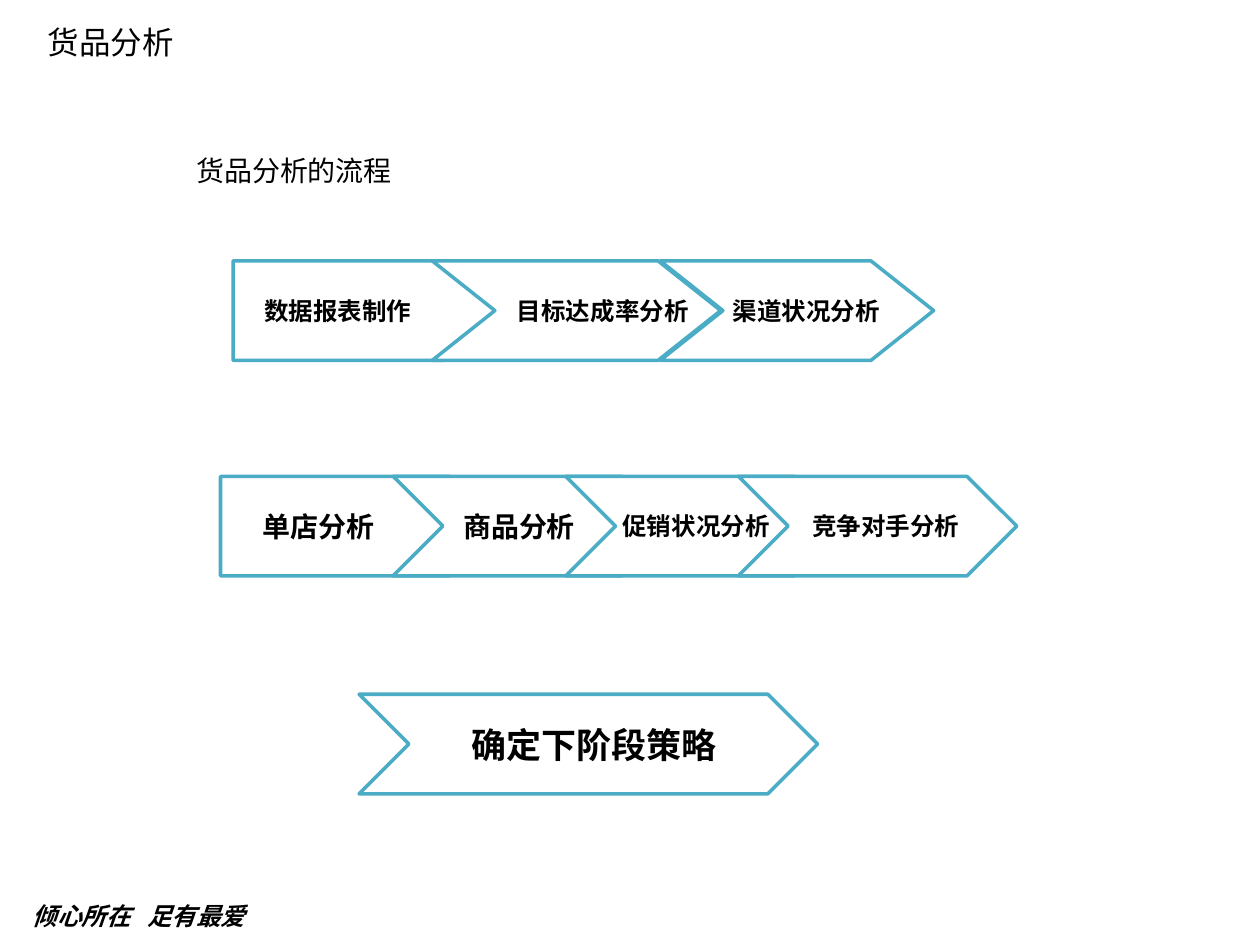
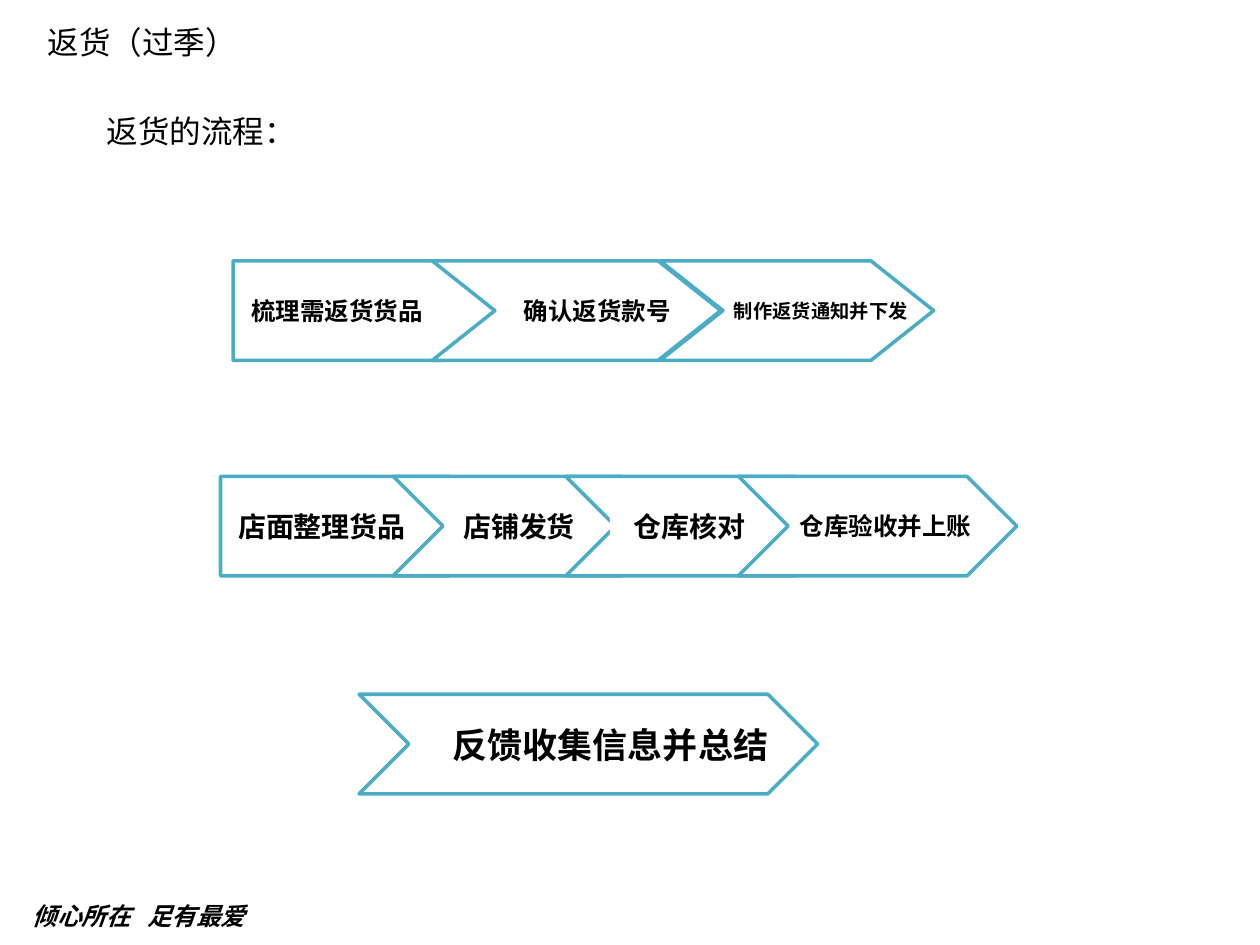
from dataclasses import dataclass

from pptx import Presentation
from pptx.dml.color import RGBColor
from pptx.enum.shapes import MSO_SHAPE
from pptx.enum.text import MSO_ANCHOR, MSO_AUTO_SIZE, PP_ALIGN
from pptx.oxml.xmlchemy import OxmlElement
from pptx.slide import Slide
from pptx.text.text import TextFrame
from pptx.util import Emu, Inches, Pt

PLATE, CHEVRON = MSO_SHAPE.PENTAGON, MSO_SHAPE.CHEVRON
TOP, MIDDLE = MSO_ANCHOR.TOP, MSO_ANCHOR.MIDDLE
LEFT, CENTER = PP_ALIGN.LEFT, PP_ALIGN.CENTER
NO_FIT = MSO_AUTO_SIZE.NONE

BLACK = RGBColor(0x00, 0x00, 0x00)
WHITE = RGBColor(0xFF, 0xFF, 0xFF)
TEAL = RGBColor(0x4B, 0xAC, 0xC6)
FONT = "Noto Sans CJK SC"

SLIDE_W, SLIDE_H = Inches(10), Inches(7.5)
COLUMNS, ROWS = 100, 75
ARROW_H = 7.9
TEXT_H = 4
LINE_PER_PT = 0.17  # label rows taken by each point of text size
TITLE_SIZE = 18
FOOTER_TEXT = "倾心所在\t足有最爱"
FOOTER_TAB = 9.1


@dataclass(frozen=True)
class Arrow:
    left: float
    width: float
    kind: MSO_SHAPE = CHEVRON


@dataclass(frozen=True)
class Band:
    """A row of arrows that share their top edge and point depth."""
    top: float
    point: float
    arrows: tuple[Arrow, ...]


@dataclass(frozen=True)
class Label:
    text: str
    left: float
    width: float
    size: int = 14


@dataclass(frozen=True)
class Heading:
    text: str
    left: float
    top: float
    width: float
    size: int


@dataclass(frozen=True)
class FlowSlide:
    title: str
    title_width: float
    heading: Heading
    labels: tuple[tuple[Label, ...], ...]


BANDS = (
    Band(20.7, 0.63, (Arrow(18.5, 21.7, PLATE), Arrow(34.3, 22.9), Arrow(52.4, 21.7))),
    Band(37.8, 0.5, tuple(Arrow(17.5 + 13.7 * i, 22.1, CHEVRON if i else PLATE)
                          for i in range(4))),
    Band(55.1, 0.5, (Arrow(28.5, 36.4),)),
)

SLIDES = (
    FlowSlide(
        "货品分析", 13.4, Heading("货品分析的流程", 14.6, 11.7, 22.8, 16),
        ((Label("数据报表制作", 20.9, 11.8), Label("目标达成率分析", 41, 13.7),
          Label("渠道状况分析", 58.1, 11.8)),
         (Label("单店分析", 19.6, 11.4, 16), Label("商品分析", 35.5, 11.4, 16),
          Label("促销状况分析", 49.2, 12.1), Label("竞争对手分析", 62.8, 15)),
         (Label("确定下阶段策略", 35.9, 22.5, 20),)),
    ),
    FlowSlide(
        "返货（过季）", 18.2, Heading("返货的流程：", 7.5, 8.4, 18.5, 18),
        ((Label("梳理需返货货品", 19.9, 13.7), Label("确认返货款号", 41.5, 11.8),
          Label("制作返货通知并下发", 58.2, 13.9, 11)),
         (Label("店面整理货品", 18.5, 14.1, 16), Label("店铺发货", 35.5, 11.4, 16),
          Label("仓库核对", 48.4, 12.6, 16), Label("仓库验收并上账", 62.8, 15)),
         (Label("反馈收集信息并总结", 35.9, 25.1, 20),)),
    ),
)


def col(n: float) -> Emu:
    return Emu(round(SLIDE_W * n / COLUMNS))


def row(n: float) -> Emu:
    return Emu(round(SLIDE_H * n / ROWS))


def box(left: float, top: float, width: float, height: float) -> tuple[Emu, Emu, Emu, Emu]:
    return col(left), row(top), col(width), row(height)


def write(tf: TextFrame, text: str, size: int, bold: bool = False, italic: bool = False,
          align: PP_ALIGN = LEFT, anchor: MSO_ANCHOR = TOP) -> None:
    """Fill a frame with one paragraph in the deck's font."""
    tf.text = text
    tf.auto_size = NO_FIT
    tf.vertical_anchor = anchor
    p = tf.paragraphs[0]
    p.alignment = align
    for r in p.runs:
        r.font.size, r.font.bold, r.font.italic = Pt(size), bold, italic
        r.font.color.rgb = BLACK
        r.font.name = FONT
        ea = OxmlElement("a:ea")
        ea.set("typeface", FONT)
        r.font._element.append(ea)


def add_title(slide: Slide, text: str, width: float) -> None:
    sp = slide.shapes.title
    sp.left, sp.top, sp.width, sp.height = box(2.8, 1.3, width, TEXT_H)
    write(sp.text_frame, text, TITLE_SIZE)


def add_heading(slide: Slide, heading: Heading) -> None:
    sp = slide.shapes.add_textbox(*box(heading.left, heading.top, heading.width, TEXT_H))
    sp.text_frame.word_wrap = True
    write(sp.text_frame, heading.text, heading.size)


def add_footer(slide: Slide) -> None:
    tf = slide.shapes.add_textbox(*box(1.6, 71, 24.7, 3.2)).text_frame
    tf.word_wrap = True
    write(tf, FOOTER_TEXT, 14, bold=True, italic=True)
    tabs, tab = OxmlElement("a:tabLst"), OxmlElement("a:tab")
    tab.set("pos", str(col(FOOTER_TAB)))
    tab.set("algn", "l")
    tabs.append(tab)
    tf.paragraphs[0]._p.get_or_add_pPr().append(tabs)


def add_arrow(slide: Slide, arrow: Arrow, band: Band) -> None:
    sp = slide.shapes.add_shape(arrow.kind, *box(arrow.left, band.top, arrow.width, ARROW_H))
    sp.adjustments[0] = band.point
    sp.shadow.inherit = False
    sp.fill.solid()
    sp.fill.fore_color.rgb = WHITE
    sp.line.color.rgb = TEAL
    sp.line.width = Pt(2)


def add_label(slide: Slide, label: Label, band: Band) -> None:
    """Place a white text panel at mid-height of its band."""
    height = label.size * LINE_PER_PT
    top = band.top + (ARROW_H - height) / 2
    sp = slide.shapes.add_shape(MSO_SHAPE.RECTANGLE, *box(label.left, top, label.width, height))
    sp.shadow.inherit = False
    sp.fill.solid()
    sp.fill.fore_color.rgb = WHITE
    sp.line.fill.background()
    tf = sp.text_frame
    tf.margin_left = tf.margin_right = tf.margin_top = tf.margin_bottom = 0
    tf.word_wrap = False
    write(tf, label.text, label.size, bold=True, align=CENTER, anchor=MIDDLE)


def main() -> None:
    prs = Presentation()
    prs.slide_width, prs.slide_height = SLIDE_W, SLIDE_H
    title_only = prs.slide_layouts[5]
    for flow in SLIDES:
        slide = prs.slides.add_slide(title_only)
        add_footer(slide)
        add_title(slide, flow.title, flow.title_width)
        add_heading(slide, flow.heading)
        for band, labels in zip(BANDS, flow.labels):
            for arrow, label in zip(band.arrows, labels):
                add_arrow(slide, arrow, band)
                add_label(slide, label, band)
    prs.save("out.pptx")


if __name__ == "__main__":
    main()
